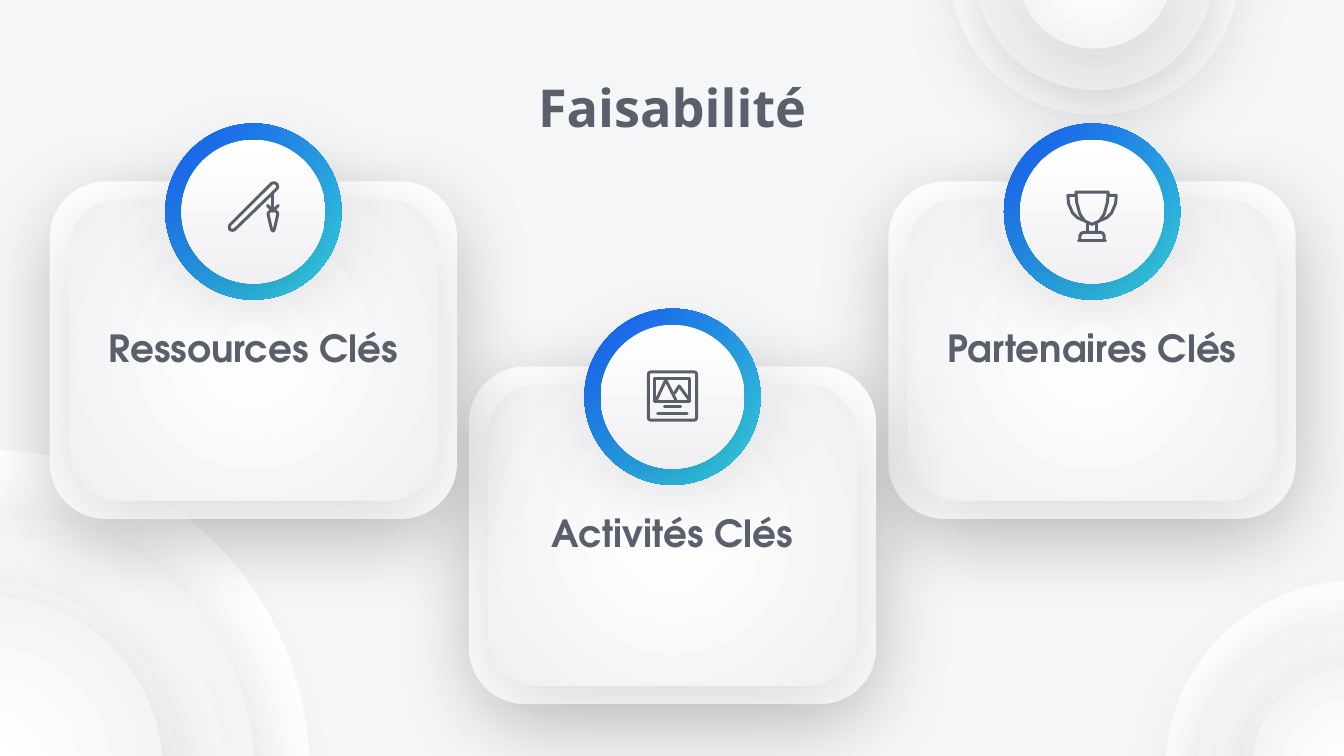
from lxml.etree import SubElement
from pptx import Presentation
from pptx.dml.color import RGBColor
from pptx.enum.shapes import MSO_SHAPE as SHAPE
from pptx.enum.text import MSO_ANCHOR, MSO_AUTO_SIZE, PP_ALIGN
from pptx.oxml.ns import qn
from pptx.util import Cm, Pt

rgb = RGBColor.from_string
INK, WHITE, PALE = "595F6B", "FFFFFF", "F0F0F3"

prs = Presentation()
prs.slide_width, prs.slide_height = Cm(25.4), Cm(14.29)
s = prs.slides.add_slide(prs.slide_layouts[4])
s.background.fill.solid()
s.background.fill.fore_color.rgb = rgb("F5F6F8")


def add_soft(kind, cx, cy, w, h, colors, angle=None, shadow=True):
    """Centred shape: one colour is flat, two are a gradient (radial without an angle)."""
    sp = s.shapes.add_shape(kind, Cm(cx - w / 2), Cm(cy - h / 2), Cm(w), Cm(h))
    sp.line.fill.background()
    if len(colors) == 1:
        sp.fill.solid()
        sp.fill.fore_color.rgb = rgb(colors[0])
    else:
        sp.fill.gradient()
        for stop, color in zip(sp.fill.gradient_stops, colors):
            stop.color.rgb = rgb(color)
        if angle is not None:
            sp.fill.gradient_angle = 360 - angle
        else:
            grad = sp._element.spPr.find(qn("a:gradFill"))
            grad.remove(grad.find(qn("a:lin")))
            radial = SubElement(grad, qn("a:path"), path="circle")
            SubElement(radial, qn("a:fillToRect"), l="50000", t="50000", r="50000", b="50000")
    sp.shadow.inherit = False
    if shadow:
        effects = sp._element.spPr.find(qn("a:effectLst"))
        outer = SubElement(effects, qn("a:outerShdw"), blurRad=str(Pt(45)), dist=str(Pt(11.25)),
                           dir=str(85 * 60000), algn="bl", rotWithShape="0")
        color = SubElement(outer, qn("a:srgbClr"), val="000000")
        SubElement(color, qn("a:alpha"), val="15000")


def put_text(sp, cx, cy, w, text, font, size):
    """Centre a placeholder on a point and fill it with one bold line."""
    sp.left, sp.top, sp.width, sp.height = Cm(cx - w / 2), Cm(cy - 0.52), Cm(w), Cm(1.04)
    tf = sp.text_frame
    tf.word_wrap, tf.auto_size = True, MSO_AUTO_SIZE.NONE
    tf.vertical_anchor = MSO_ANCHOR.MIDDLE
    tf.margin_left = tf.margin_right = tf.margin_top = tf.margin_bottom = Cm(0.25)
    p = tf.paragraphs[0]
    p.alignment = PP_ALIGN.CENTER
    p.space_before = Pt(0)
    pPr = p._p.get_or_add_pPr()
    pPr.set("marL", "0")
    pPr.set("indent", "0")
    SubElement(pPr, qn("a:buNone"))
    r = p.add_run()
    r.text = text
    r.font.name, r.font.size, r.font.bold = font, Pt(size), True
    r.font.color.rgb = rgb(INK)
    s.shapes._spTree.append(sp._element)  # bring to front


# Concentric circles at the slide edges
for cx, cy, outer, middle, inner in [
    (-0.2, 14.55, 12.09, 10.01, 6.55),
    (25.6, 14.56, 7.16, 5.94, 3.89),
    (20.69, -0.56, 5.46, 4.52, 2.95),
]:
    add_soft(SHAPE.OVAL, cx, cy, outer, outer, [WHITE], shadow=False)
    for d in (middle, inner):
        add_soft(SHAPE.OVAL, cx, cy, d, d, [WHITE, PALE])

# Icon strokes as (closed, points), in units of 0.0127 cm around the button centre
handle = [(24, -24), (36, -24), (35, -12), (29, 2), (22, 9), (13, 13)]
trophy = [
    (True, [(-24, -29), (24, -29), (23, -14), (18, 4), (11, 14), (0, 19),
            (-11, 14), (-18, 4), (-23, -14)]),
    (False, handle),
    (False, [(-x, y) for x, y in handle]),
    (False, [(-7, 18), (-7, 31)]),
    (False, [(7, 18), (7, 31)]),
    (False, [(-18, 43), (-18, 36), (-16, 32), (-12, 31), (12, 31), (16, 32), (18, 36), (18, 43)]),
    (False, [(-20, 43), (20, 43)]),
]
poster = [
    (True, [(-32, -37), (32, -37), (35, -36), (36, -33), (36, 31), (35, 34), (32, 35),
            (-32, 35), (-35, 34), (-36, 31), (-36, -33), (-35, -36)]),
    (True, [(-26, -27), (26, -27), (26, 7), (-26, 7)]),
    (False, [(-25, 7), (-10, -25), (6, 7)]),
    (False, [(3, -5), (10, -16), (26, 6)]),
    (False, [(-12, 15), (12, 15)]),
    (False, [(-22, 25), (22, 25)]),
]
carrot_stick = [
    (True, [(27, -42), (31, -43), (35, -41), (36, -37), (35, -34), (-28, 27), (-31, 28),
            (-35, 27), (-36, 23), (-35, 20)]),
    (False, [(29, -28), (29, -1)]),
    (False, [(21, -9), (29, -1), (37, -9)]),
    (True, [(25, -1), (33, -1), (36, 2), (36, 5), (31, 27), (29, 29), (27, 27), (22, 5), (22, 2)]),
]

# Cards from right to left: centre x, centre y, caption, icon
cards = [
    (20.64, 6.62, "Partenaires Clés", trophy),
    (12.71, 10.12, "Activités Clés", poster),
    (4.79, 6.62, "Ressources Clés", carrot_stick),
]
for cx, cy, caption, icon in cards:
    add_soft(SHAPE.ROUNDED_RECTANGLE, cx, cy, 7.7, 6.38, [WHITE])
    add_soft(SHAPE.ROUNDED_RECTANGLE, cx, cy, 6.98, 5.69, [WHITE, PALE])

# Title
title, *bodies = list(s.placeholders)
put_text(title, 12.7, 2.02, 21.44, "Faisabilité", "Open Sans", 28)

# Buttons, icons and captions
for (cx, cy, caption, icon), body in zip(cards, bodies):
    button_y = cy - 2.62
    add_soft(SHAPE.OVAL, cx, button_y, 3.33, 3.33, ["1658F1", "36DBE0"], 45, shadow=False)
    add_soft(SHAPE.OVAL, cx, button_y, 2.72, 2.72, [WHITE, PALE], 90)
    builder = s.shapes.build_freeform(*icon[0][1][0], scale=Cm(0.0127))
    for i, (closed, points) in enumerate(icon):
        if i:
            builder.move_to(*points[0])
        builder.add_line_segments(points[1:], close=closed)
    sp = builder.convert_to_shape(Cm(cx), Cm(button_y))
    sp.fill.background()
    sp.line.color.rgb, sp.line.width = rgb(INK), Pt(1.6)
    sp.line._get_or_add_ln().set("cap", "rnd")
    sp.shadow.inherit = False
    put_text(body, cx, cy - 0.05, 6.78, caption, "TeX Gyre Adventor", 20)

# Remove the unused placeholder
for body in bodies[len(cards):]:
    s.shapes._spTree.remove(body._element)

prs.save("out.pptx")
